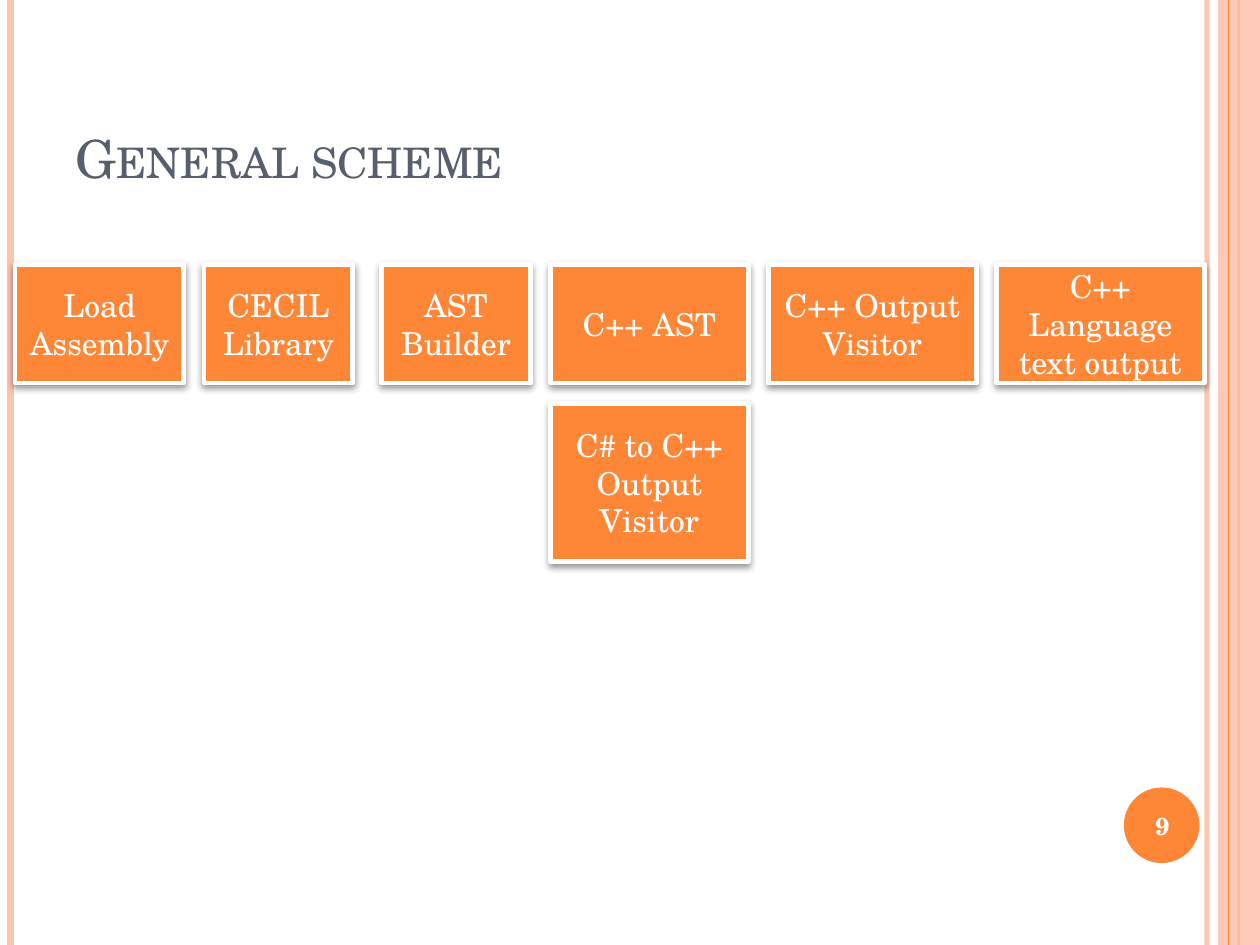
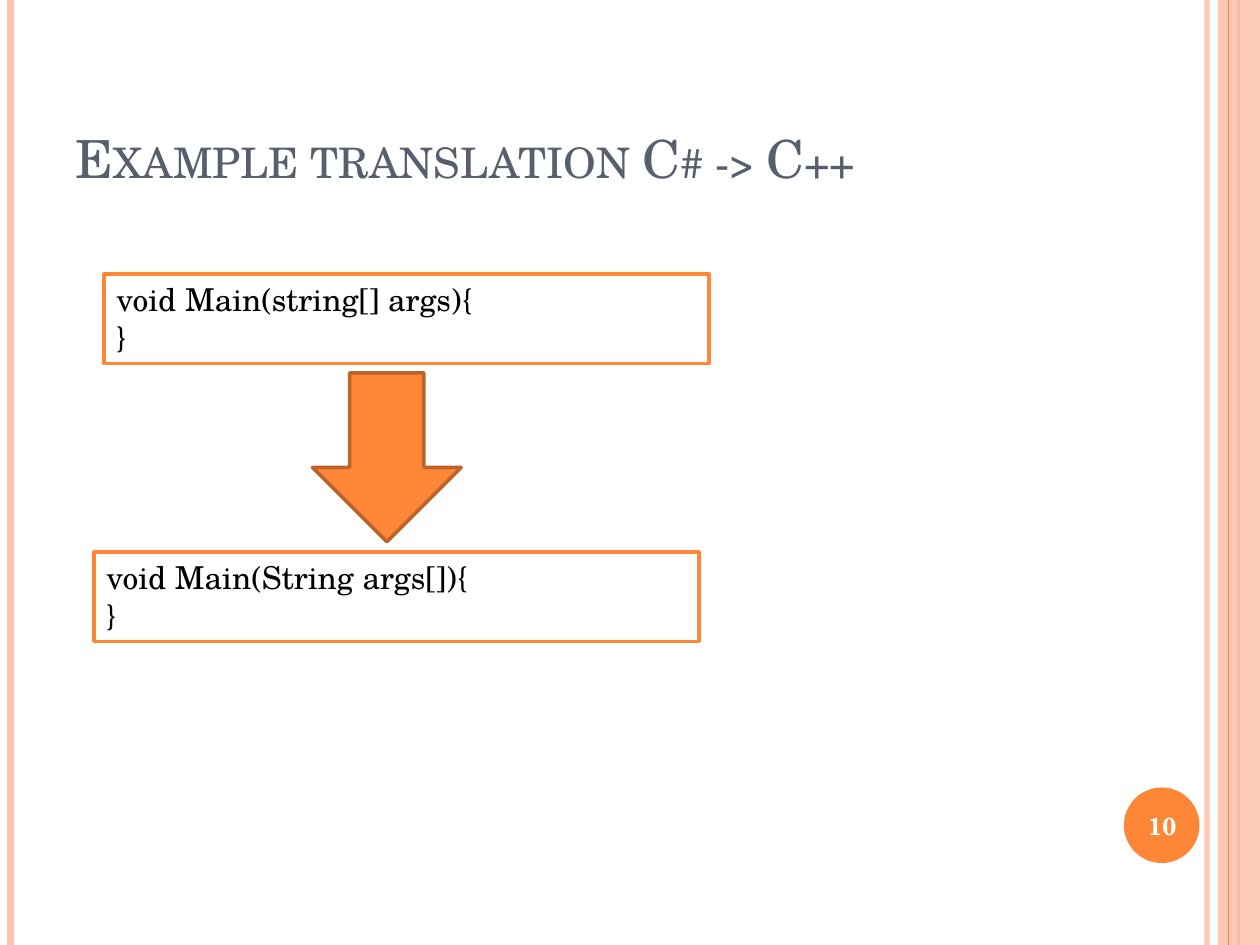
"""Build two slides on a C# to C++ translator: its general scheme and an example."""
from dataclasses import dataclass

from lxml import etree
from pptx import Presentation
from pptx import util as u
from pptx.dml.color import RGBColor
from pptx.enum import shapes, text
from pptx.oxml.ns import qn


@dataclass(frozen=True)
class Theme:
    font: str = "TeX Gyre Schola"
    orange: str = "FE8637"
    dark_orange: str = "BC6329"
    peach: str = "FEC3AE"
    slate: str = "575F6D"
    white: str = "FFFFFF"
    black: str = "000000"
    title_size: int = 30
    body_size: int = 18
    number_size: int = 14


theme = Theme()
Kind, Align, Anchor, Fit = shapes.MSO_SHAPE, text.PP_ALIGN, text.MSO_ANCHOR, text.MSO_AUTO_SIZE


def add_block(slide, kind, place, fill, line=None, weight=0):
    """Add a flat preset shape, with an outline when a line colour is given."""
    block = slide.shapes.add_shape(kind, *map(u.Pt, place))
    block.shadow.inherit = False
    block.fill.solid()
    block.fill.fore_color.rgb = RGBColor.from_string(fill)
    if line:
        block.line.color.rgb = RGBColor.from_string(line)
        block.line.width = u.Pt(weight)
    else:
        block.line.fill.background()
    return block


def write(holder, lines, size, color, align=Align.LEFT, anchor=Anchor.MIDDLE,
          bold=False, auto_size=Fit.NONE):
    """Write one paragraph per line into a shape or text box."""
    frame = holder.text_frame
    frame.text = "\n".join(lines)
    frame_format = {"word_wrap": True, "vertical_anchor": anchor, "auto_size": auto_size}
    for name, value in frame_format.items():
        setattr(frame, name, value)
    font_format = {"name": theme.font, "size": u.Pt(size), "bold": bold}
    for paragraph in frame.paragraphs:
        paragraph.alignment = align
        font = paragraph.runs[0].font
        font.color.rgb = RGBColor.from_string(color)
        for name, value in font_format.items():
            setattr(font, name, value)


page_width, page_height = 720, 540
deck = Presentation()
deck.slide_width, deck.slide_height = u.Pt(page_width), u.Pt(page_height)

edge_stripes = [
    ("rule", 689.76, 3, theme.peach, 93),
    ("rule", 6, 4.5, theme.peach, 100),
    ("rule", 707.76, 1.5, theme.orange, 100),
    ("band", 696, 24, theme.peach, 87),
    ("rule", 702, 0.75, theme.orange, 100),
]
headings = ["General scheme", "Example translation C# -> C++"]
first_number = 9
pages = []
for number, heading in enumerate(headings, first_number):
    page = deck.slides.add_slide(deck.slide_layouts[6])
    pages.append(page)

    for form, x, width, color, opacity in edge_stripes:
        if form == "band":
            stripe = add_block(page, Kind.RECTANGLE, (x, 0, width, page_height), color)
        else:
            stripe = page.shapes.add_connector(
                shapes.MSO_CONNECTOR.STRAIGHT, u.Pt(x), 0, u.Pt(x), u.Pt(page_height))
            stripe.line.color.rgb = RGBColor.from_string(color)
            stripe.line.width = u.Pt(width)
            etree.SubElement(stripe.element.xpath("p:spPr")[0], qn("a:effectLst"))
        stripe_color = stripe.element.xpath("p:spPr//a:srgbClr")[0]
        etree.SubElement(stripe_color, qn("a:alpha"), val=str(opacity * 1000))

    add_block(page, Kind.OVAL, (642.24, 450, 43.2, 43.2), theme.orange)

    title = page.shapes.add_textbox(*map(u.Pt, (36, 21.6, 588.24, 90)))
    write(title, [heading], theme.title_size, theme.slate, anchor=Anchor.BOTTOM)
    title.element.xpath(".//a:rPr")[0].set("cap", "small")

    page_number = page.shapes.add_textbox(*map(u.Pt, (640.08, 451.44, 48.24, 41.04)))
    write(page_number, [str(number)], theme.number_size, theme.white, Align.CENTER, bold=True)

scheme, example = pages

row_left, row_top, row_height, gap = 8.64, 151.2, 67.68, 11.5
branch_height = 90.72
pipeline = [
    ("Load Assembly", 96.48, gap),
    ("CECIL Library", 84.96, gap + 5),
    ("AST Builder", 84.96, gap),
    ("C++ AST", 113.04, gap),
    ("C++ Output Visitor", 118.8, gap),
    ("C++ Language text output", 118.8, gap),
]
stages = []
left = row_left
for label, width, gap_after in pipeline:
    stages.append((label, (left, row_top, width, row_height)))
    if label == "C++ AST":
        branch_top = row_top + row_height + gap
        stages.append(("C# to C++ Output Visitor", (left, branch_top, width, branch_height)))
    left += width + gap_after

for label, place in stages:
    stage = add_block(scheme, Kind.RECTANGLE, place, theme.orange, theme.white, 2.75)
    write(stage, [label], theme.body_size, theme.white, Align.CENTER)
    effects = stage.element.xpath("p:spPr/a:effectLst")[0]
    shadow = etree.SubElement(effects, qn("a:outerShdw"), blurRad=str(u.Pt(4)),
                              dist=str(u.Pt(2)), dir="5400000", rotWithShape="0")
    shadow_color = etree.SubElement(shadow, qn("a:srgbClr"), val=theme.black)
    etree.SubElement(shadow_color, qn("a:alpha"), val="40000")

listings = [
    ("void Main(string[] args){", 59.5, 156.6),
    ("void Main(String args[]){", 53.75, 315.36),
]
for signature, left, top in listings:
    listing = add_block(example, Kind.RECTANGLE, (left, top, 345.6, 51.12),
                        theme.white, theme.orange, 2)
    write(listing, [signature, "}"], theme.body_size, theme.black,
          anchor=Anchor.TOP, auto_size=Fit.SHAPE_TO_FIT_TEXT)

add_block(example, Kind.DOWN_ARROW, (178.56, 213.12, 84.96, 96.48),
          theme.orange, theme.dark_orange, 2)

deck.save("out.pptx")
